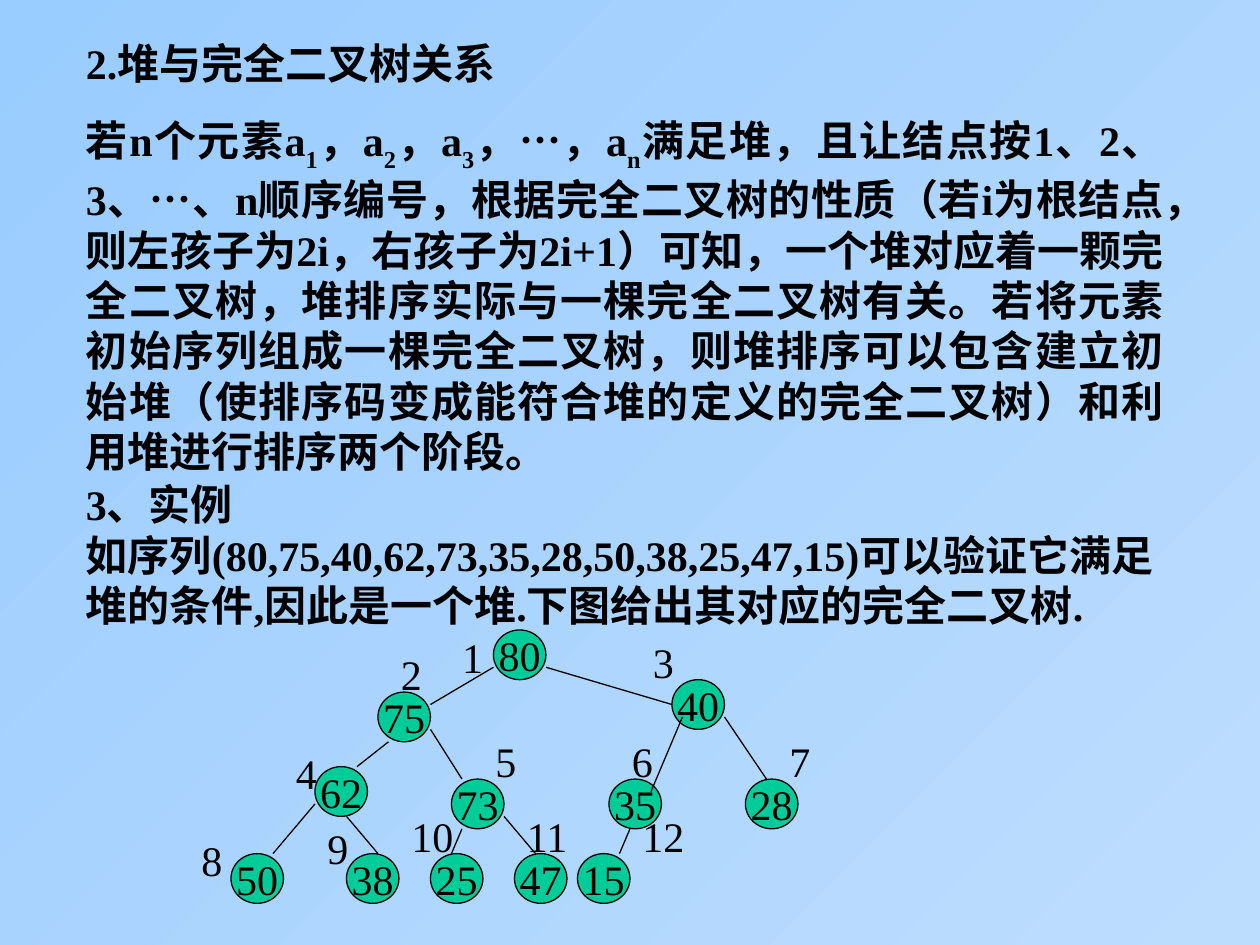
from dataclasses import dataclass

from lxml import etree
from pptx import Presentation
from pptx.dml.color import RGBColor
from pptx.enum.shapes import MSO_CONNECTOR, MSO_SHAPE
from pptx.enum.text import MSO_ANCHOR, MSO_AUTO_SIZE, PP_ALIGN
from pptx.oxml.ns import qn
from pptx.util import Pt

OVAL = MSO_SHAPE.OVAL
STRAIGHT = MSO_CONNECTOR.STRAIGHT
MIDDLE = MSO_ANCHOR.MIDDLE
FIT_SHAPE = MSO_AUTO_SIZE.SHAPE_TO_FIT_TEXT
LEFT, CENTER, JUSTIFY = PP_ALIGN.LEFT, PP_ALIGN.CENTER, PP_ALIGN.JUSTIFY

COLORS = {"sky": "99CCFF", "pale": "BDDDFE", "node": "00CC99", "ink": "000000"}
FONT = "Times New Roman"
COL, ROW, TREE_TOP = 6, 7.1, 360
NODE_COLS, NODE_ROWS = 5, 4
INDEX_PADDING, DIGIT_WIDTH = 15, 12
SUBSCRIPT_MARK = "|"

HEADING = "2.堆与完全二叉树关系"
RELATION = (
    "若n个元素a|1|，a|2|，a|3|，…，a|n|满足堆，且让结点按1、2、3、…、n顺序编号，"
    "根据完全二叉树的性质（若i为根结点，则左孩子为2i，右孩子为2i+1）可知，"
    "一个堆对应着一颗完全二叉树，堆排序实际与一棵完全二叉树有关。"
    "若将元素初始序列组成一棵完全二叉树，则堆排序可以包含建立初始堆"
    "（使排序码变成能符合堆的定义的完全二叉树）和利用堆进行排序两个阶段。"
)
EXAMPLE_HEADING = "3、实例"
EXAMPLE = (
    "如序列(80,75,40,62,73,35,28,50,38,25,47,15)可以验证它满足堆的条件,"
    "因此是一个堆.下图给出其对应的完全二叉树."
)


@dataclass(frozen=True)
class HeapNode:
    value: int
    place: tuple[float, float]
    index_place: tuple[float, float]
    edge: tuple[float, float, float, float] | None = None


HEAP = [
    HeapNode(80, (47, 0), (42.83, -0.4)),
    HeapNode(75, (36, 5), (37, 1), (47, 3, 41, 6)),
    HeapNode(40, (64, 4), (61, 0), (52, 3, 64, 6)),
    HeapNode(62, (30, 11), (27, 9), (37, 9, 34, 11)),
    HeapNode(73, (43, 12), (46, 8), (41, 8, 44, 12)),
    HeapNode(35, (58, 12), (59, 8), (65, 7, 62, 13)),
    HeapNode(28, (71, 12), (74, 8), (69, 7, 73, 12)),
    HeapNode(50, (22, 18), (18, 16), (30, 14, 26, 18)),
    HeapNode(38, (33, 18), (30, 15), (33, 15, 36, 18)),
    HeapNode(25, (41, 18), (38, 14), (44, 16, 43, 18)),
    HeapNode(47, (49, 18), (49, 14), (48, 15, 51, 18)),
    HeapNode(15, (55, 18), (60, 14), (60, 16, 59, 18)),
]


def color(name: str) -> RGBColor:
    return RGBColor.from_string(COLORS[name])


def grid(col: float, row: float) -> tuple[Pt, Pt]:
    return Pt(COL * col), Pt(TREE_TOP + ROW * row)


def write(frame, *texts: str, bold=False, align=LEFT, gap=0, wrap=True) -> None:
    frame.word_wrap = wrap
    for number, text in enumerate(texts):
        paragraph = frame.add_paragraph() if number else frame.paragraphs[0]
        paragraph.alignment = align
        if number:
            paragraph.space_before = Pt(gap)
        for part, words in enumerate(text.split(SUBSCRIPT_MARK)):
            run = paragraph.add_run()
            run.text = words
            run.font.name = FONT
            run.font.size = Pt(24)
            run.font.bold = bold
            run.font.color.rgb = color("ink")
            if part % 2:
                run.font._element.set("baseline", "-30000")


def add_passage(slide, left: float, top: float, width: float, height: float,
                *texts: str, **style) -> None:
    passage = slide.shapes.add_textbox(Pt(left), Pt(top), Pt(width), Pt(height))
    passage.text_frame.auto_size = FIT_SHAPE
    write(passage.text_frame, *texts, bold=True, **style)


def add_node(slide, node: HeapNode) -> None:
    circle = slide.shapes.add_shape(
        OVAL, *grid(*node.place), Pt(COL * NODE_COLS), Pt(ROW * NODE_ROWS))
    circle.shadow.inherit = False
    circle.fill.solid()
    circle.fill.fore_color.rgb = color("node")
    circle.line.color.rgb = color("ink")
    circle.line.width = Pt(0.75)
    circle.text_frame.vertical_anchor = MIDDLE
    write(circle.text_frame, str(node.value), align=CENTER, wrap=False)


def add_edge(slide, start_col: float, start_row: float,
             end_col: float, end_row: float) -> None:
    edge = slide.shapes.add_connector(
        STRAIGHT, *grid(start_col, start_row), *grid(end_col, end_row))
    edge.line.color.rgb = color("ink")
    edge.line.width = Pt(0.75)
    etree.SubElement(edge._element.spPr, qn("a:effectLst"))


def add_index(slide, index: str, node: HeapNode) -> None:
    width = INDEX_PADDING + DIGIT_WIDTH * len(index)
    label = slide.shapes.add_textbox(*grid(*node.index_place), Pt(width), Pt(36))
    label.text_frame.auto_size = FIT_SHAPE
    write(label.text_frame, index, wrap=False)


def main() -> None:
    deck = Presentation()
    deck.slide_width, deck.slide_height = Pt(720), Pt(540)
    slide = deck.slides.add_slide(deck.slide_layouts[6])

    backdrop = slide.background.fill
    backdrop.gradient()
    backdrop.gradient_angle = 135
    for stop, name in zip(backdrop.gradient_stops, ("pale", "sky")):
        stop.color.rgb = color(name)

    add_passage(slide, 42, 18, 630, 258, HEADING, RELATION, align=JUSTIFY, gap=15)
    add_passage(slide, 42, 270, 648, 94, EXAMPLE_HEADING, EXAMPLE)

    for node in HEAP:
        add_node(slide, node)
    for node in HEAP:
        if node.edge:
            add_edge(slide, *node.edge)
    for index, node in enumerate(HEAP, start=1):
        add_index(slide, str(index), node)

    deck.save("out.pptx")


if __name__ == "__main__":
    main()
